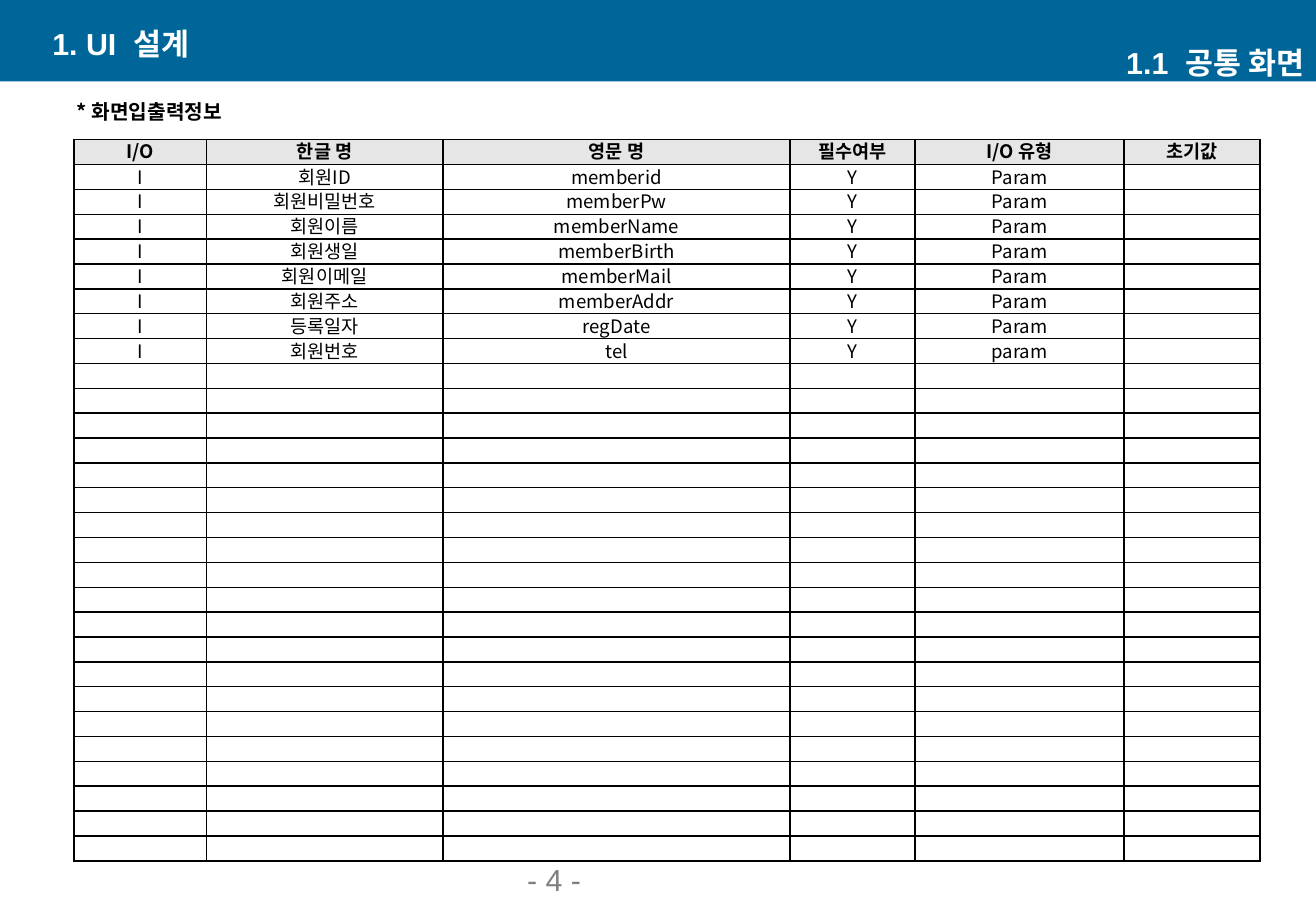
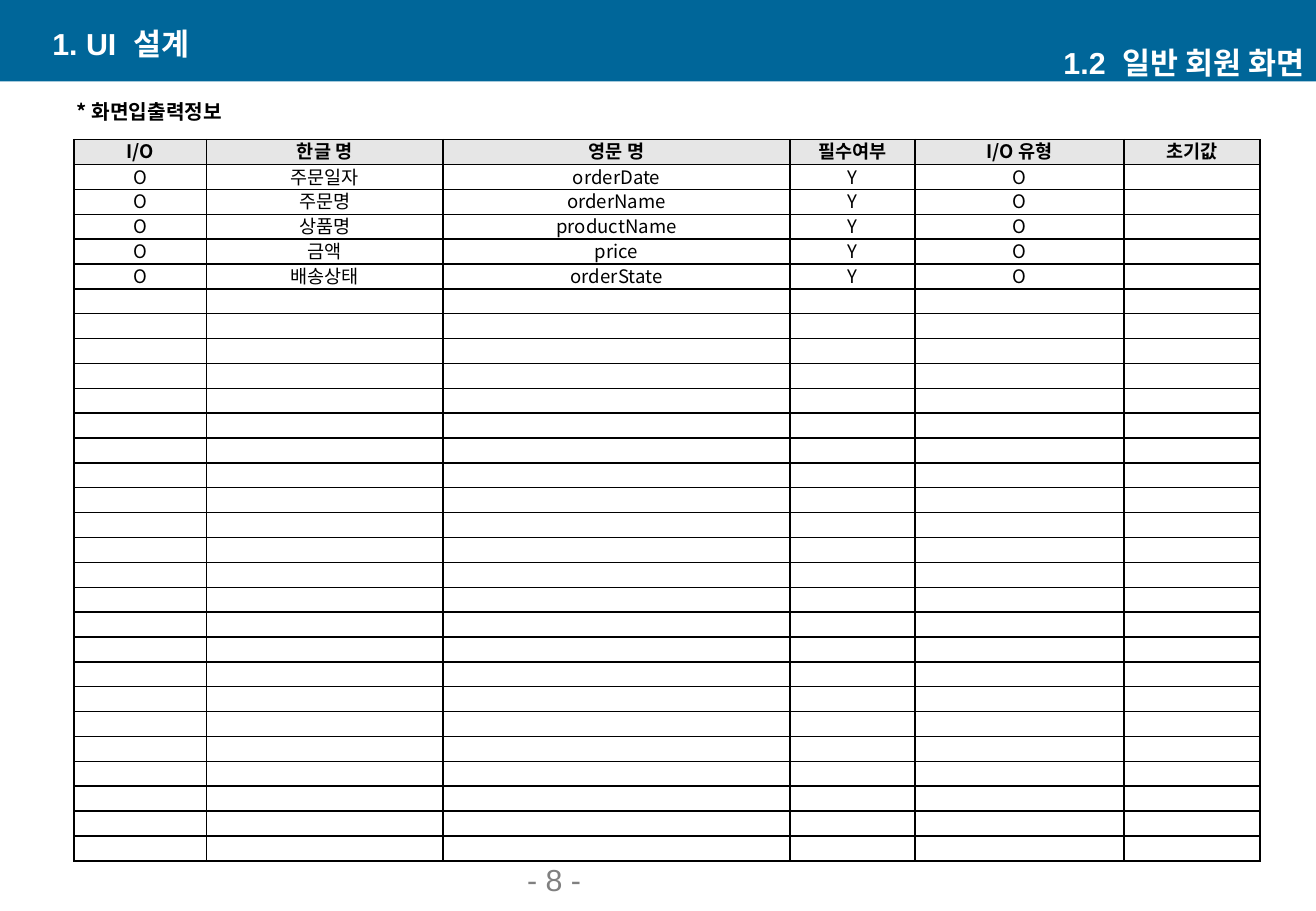
from dataclasses import dataclass

from lxml import etree
from pptx import Presentation
from pptx import util as u
from pptx.dml.color import RGBColor
from pptx.enum import shapes, text
from pptx.oxml.ns import qn


@dataclass(frozen=True)
class Theme:
    band: str = "006699"
    header: str = "E6E6E6"
    ink: str = "000000"
    light: str = "FFFFFF"
    muted: str = "808080"
    latin: str = "Arial"
    korean: str = "Noto Sans CJK KR"
    title_size: int = 18
    label_size: int = 12
    cell_size: int = 11
    cell_line: int = 14


theme = Theme()
presentation = Presentation()
presentation.slide_width, presentation.slide_height = u.Inches(10.83), u.Inches(7.5)


def place(left, top, width, height):
    """Turn percentages of the slide into lengths."""
    columns, rows = presentation.slide_width / 100, presentation.slide_height / 100
    return [u.Emu(round(length)) for length in
            (left * columns, top * rows, width * columns, height * rows)]


def write(frame, content, size=theme.title_size, color=theme.ink, font=theme.latin,
          bold=False, align=text.PP_ALIGN.LEFT, anchor=text.MSO_ANCHOR.MIDDLE,
          wrap=True, line=None):
    frame.word_wrap = wrap
    frame.vertical_anchor = anchor
    paragraph = frame.paragraphs[0]
    paragraph.alignment = align
    if line:
        paragraph.line_spacing = u.Pt(line)
    run = paragraph.add_run()
    run.text = content
    run.font.size, run.font.bold, run.font.name = u.Pt(size), bold, font
    run.font.color.rgb = RGBColor.from_string(color)
    east_asian = etree.SubElement(run.font._element, qn("a:ea"))
    east_asian.set("typeface", theme.korean)


# Content
headers = ["I/O", "한글 명", "영문 명", "필수여부", "I/O 유형", "초기값"]
column_weights = [1.09, 1.95, 2.86, 1.03, 1.72, 1.12]
row_count = 29
pages = [
    ("1.1  공통 화면", "- 4 -", "I", [
        ("회원ID", "memberid", "Param"),
        ("회원비밀번호", "memberPw", "Param"),
        ("회원이름", "memberName", "Param"),
        ("회원생일", "memberBirth", "Param"),
        ("회원이메일", "memberMail", "Param"),
        ("회원주소", "memberAddr", "Param"),
        ("등록일자", "regDate", "Param"),
        ("회원번호", "tel", "param"),
    ]),
    ("1.2  일반 회원 화면", "- 8 -", "O", [
        ("주문일자", "orderDate", "O"),
        ("주문명", "orderName", "O"),
        ("상품명", "productName", "O"),
        ("금액", "price", "O"),
        ("배송상태", "orderState", "O"),
    ]),
]
layout = presentation.slide_layouts[5]

for section, page_number, direction, fields in pages:
    slide = presentation.slides.add_slide(layout)

    # Shared band, kept on the layout
    if slide is presentation.slides[0] or len(presentation.slides) == 1:
        band = slide.shapes.add_shape(shapes.MSO_SHAPE.RECTANGLE, *place(0, 0, 100, 8.93))
        band.shadow.inherit = False
        band.fill.solid()
        band.fill.fore_color.rgb = RGBColor.from_string(theme.band)
        band.line.fill.background()
        layout.shapes._spTree.insert(2, band._element)

    # Title
    title = slide.shapes.title
    title.left, title.top, title.width, title.height = place(3.05, 2.53, 40.44, 4.4)
    title.text_frame.auto_size = text.MSO_AUTO_SIZE.NONE
    write(title.text_frame, "1. UI  설계", color=theme.light, bold=True)

    # Section name, table label and page number
    for area, content, style in [
        ((59.56, 4.67, 40.44, 4.4), section,
         dict(color=theme.light, bold=True, align=text.PP_ALIGN.RIGHT)),
        ((4.34, 10.27, 14.04, 4), "* 화면입출력정보",
         dict(size=theme.label_size, font=theme.korean, bold=True,
              align=text.PP_ALIGN.CENTER, wrap=False)),
        ((39.15, 95.07, 20.87, 4.13), page_number,
         dict(color=theme.muted, anchor=text.MSO_ANCHOR.BOTTOM)),
    ]:
        write(slide.shapes.add_textbox(*place(*area)).text_frame, content, **style)

    # Field table
    area = place(5.63, 15.33, 90.12, 79.2)
    table = slide.shapes.add_table(row_count, len(headers), *area).table
    table.first_row = table.horz_banding = False
    for column, weight in zip(table.columns, column_weights):
        column.width = u.Emu(round(area[2] * weight / sum(column_weights)))
    for row in table.rows:
        row.height = u.Emu(round(area[3] / row_count))

    records = [headers] + [(direction, korean, english, "Y", kind, "")
                           for korean, english, kind in fields]
    for row_index, row in enumerate(table.rows):
        is_header = row_index == 0
        record = records[row_index] if row_index < len(records) else [""] * len(headers)
        for cell, content in zip(row.cells, record):
            cell.margin_left = cell.margin_right = u.Inches(0.07 if is_header else 0.01)
            cell.margin_top = u.Inches(0 if is_header else 0.01)
            cell.margin_bottom = 0
            cell.vertical_anchor = text.MSO_ANCHOR.MIDDLE
            properties = cell._tc.get_or_add_tcPr()
            for side in ("a:lnL", "a:lnR", "a:lnT", "a:lnB"):
                border = etree.SubElement(properties, qn(side), w=str(u.Pt(1)))
                fill = etree.SubElement(border, qn("a:solidFill"))
                etree.SubElement(fill, qn("a:srgbClr"), val=theme.ink)
            if is_header:
                cell.fill.solid()
                cell.fill.fore_color.rgb = RGBColor.from_string(theme.header)
            else:
                cell.fill.background()
            if content:
                write(cell.text_frame, content, size=theme.cell_size, font=theme.korean,
                      bold=is_header, align=text.PP_ALIGN.CENTER, line=theme.cell_line)
            else:
                # Empty cells need a small type size to keep the row height
                etree.SubElement(cell.text_frame.paragraphs[0]._p, qn("a:endParaRPr"),
                                 sz=str(theme.cell_size * 100))
                cell.text_frame.paragraphs[0].line_spacing = u.Pt(theme.cell_line)

presentation.save("out.pptx")
